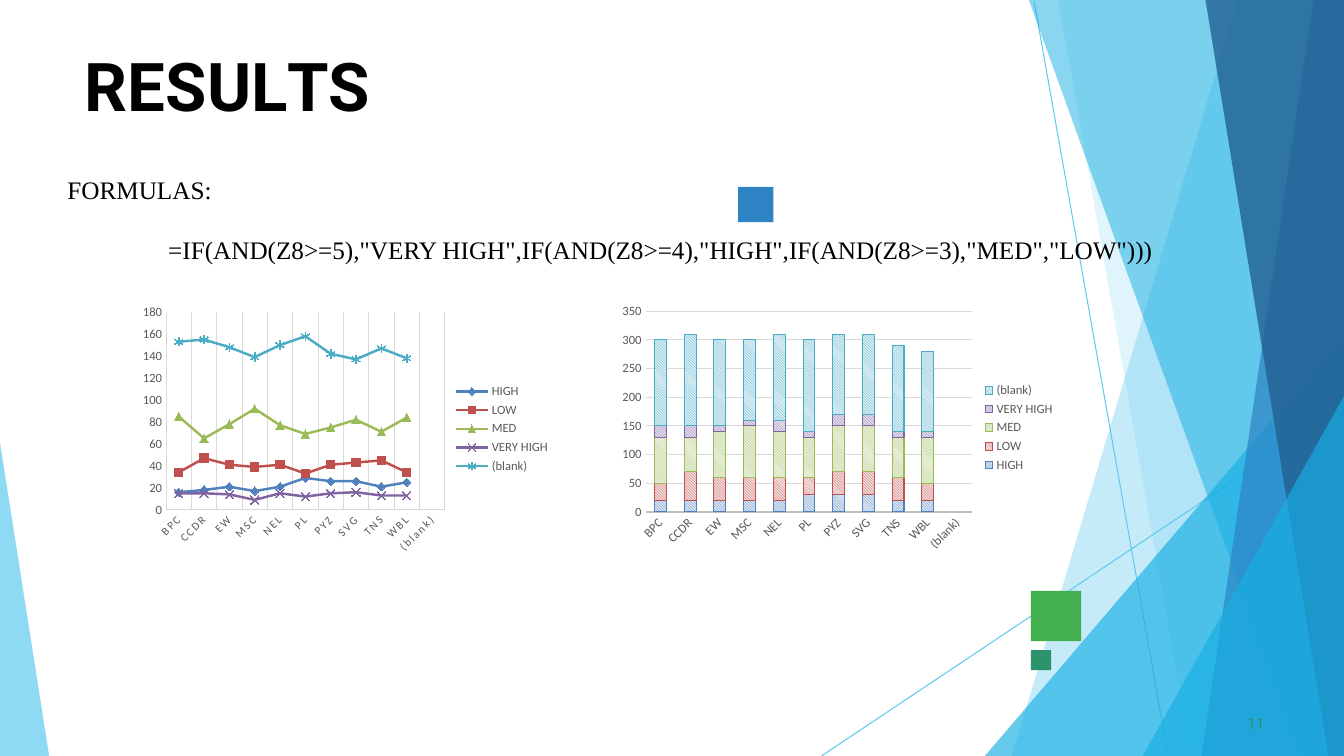
from dataclasses import dataclass

from pptx import Presentation
from pptx.chart.data import CategoryChartData
from pptx.dml.color import RGBColor
from pptx.enum.chart import XL_CHART_TYPE, XL_LEGEND_POSITION, XL_MARKER_STYLE, XL_TICK_MARK
from pptx.enum.dml import MSO_PATTERN
from pptx.enum.shapes import MSO_CONNECTOR, MSO_SHAPE
from pptx.oxml import parse_xml
from pptx.oxml.ns import nsdecls
from pptx.oxml.xmlchemy import OxmlElement
from pptx.util import Cm, Pt


@dataclass(frozen=True)
class Theme:
    black = RGBColor.from_string("000000")
    sky = RGBColor.from_string("5FCAEE")
    cyan = RGBColor.from_string("17AFE3")
    blue = RGBColor.from_string("2D83C3")
    navy = RGBColor.from_string("226192")
    green = RGBColor.from_string("42AF51")
    teal = RGBColor.from_string("2D936B")
    label = RGBColor.from_string("595959")
    grid = RGBColor.from_string("D9D9D9")
    axis = RGBColor.from_string("BFBFBF")
    title_size = Pt(48)
    body_size = Pt(18)
    number_size = Pt(11)
    chart_size = Pt(10)
    label_size = Pt(9)
    small_label_size = Pt(8)
    thin = Pt(0.75)


theme = Theme()
presentation = Presentation()
presentation.slide_width = Cm(33.87)
presentation.slide_height = Cm(19.05)
slide = presentation.slides.add_slide(presentation.slide_layouts[6])
right, bottom = 33.87, 19.05

# Thin background lines
for start_x, start_y, end_x in ((26.06, 0.03, 29.44), (right, 10.26, 20.7)):
    connector = slide.shapes.add_connector(
        MSO_CONNECTOR.STRAIGHT, Cm(start_x), Cm(start_y), Cm(end_x), Cm(bottom))
    connector.line.color.rgb = theme.sky
    connector.line.width = theme.thin
    connector.element.spPr.append(OxmlElement("a:effectLst"))

# Translucent background facets: outline, colour, opacity in percent
right_edge = [(right, bottom), (right, 0)]
facets = [
    ([(31.19, 0), (25.5, bottom), *right_edge], theme.sky, 36),
    ([(26.67, 0), (30.02, bottom), *right_edge], theme.sky, 20),
    ([(right, 8.46), (24.82, bottom), (right, bottom)], theme.cyan, 66),
    ([(25.93, 0), (32.79, bottom), *right_edge], theme.cyan, 50),
    ([(33.1, 0), (30.28, bottom), *right_edge], theme.blue, 70),
    ([(30.38, 0), (33.48, bottom), *right_edge], theme.navy, 80),
    ([(right, 9.98), (28.8, bottom), (right, bottom)], theme.cyan, 66),
    ([(0, 11.15), (0, bottom), (1.24, bottom)], theme.sky, 70),
]
for outline, color, opacity in facets:
    points = [(Cm(x), Cm(y)) for x, y in outline]
    builder = slide.shapes.build_freeform(*points[0])
    builder.add_line_segments(points[1:], close=True)
    facet = builder.convert_to_shape()
    facet.shadow.inherit = False
    facet.line.fill.background()
    facet.fill.solid()
    facet.fill.fore_color.rgb = color
    alpha = OxmlElement("a:alpha")
    alpha.set("val", str(opacity * 1000))
    facet.element.spPr.xpath("a:solidFill/a:srgbClr")[0].append(alpha)

# Decorative squares
for left, top, side, color in (
    (25.98, 14.89, 1.27, theme.green),
    (18.6, 4.71, 0.89, theme.blue),
    (25.98, 16.38, 0.51, theme.teal),
):
    square = slide.shapes.add_shape(
        MSO_SHAPE.RECTANGLE, Cm(left), Cm(top), Cm(side), Cm(side))
    square.shadow.inherit = False
    square.line.fill.background()
    square.fill.solid()
    square.fill.fore_color.rgb = color


def add_text(left, top, width, height, text, font_name, size, color):
    text_frame = slide.shapes.add_textbox(
        Cm(left), Cm(top), Cm(width), Cm(height)).text_frame
    text_frame.word_wrap = True
    text_frame.margin_left = text_frame.margin_right = 0
    text_frame.margin_top = text_frame.margin_bottom = 0
    text_frame.text = text
    for paragraph in text_frame.paragraphs:
        font = paragraph.font
        font.name, font.size, font.color.rgb = font_name, size, color
        for run in paragraph.runs:
            run.font.name, run.font.size, run.font.color.rgb = font_name, size, color
    return text_frame.paragraphs


# Title with its own letter spacing, in hundredths of a point
title = add_text(2.14, 1.13, 29.6, 2.11, "R", "Roboto", theme.title_size, theme.black)[0]
for letters in ("E", "S", "U", "L", "TS"):
    title.add_run().text = letters
for run, spacing in zip(title.runs, (0, -40, 10, -30, -400, 0)):
    run.font.name, run.font.size, run.font.bold = "Roboto", theme.title_size, True
    run.font.color.rgb = theme.black
    run._r.get_or_add_rPr().set("spc", str(spacing))

# Formula and slide number
formula = add_text(
    1.7, 4.39, 30.48, 2.31,
    'FORMULAS:\n=IF(AND(Z8>=5),"VERY HIGH",IF(AND(Z8>=4),"HIGH",IF(AND(Z8>=3),"MED","LOW")))',
    "Times New Roman", theme.body_size, theme.black)
formula[1].space_before = Pt(21.3)
formula[1]._p.get_or_add_pPr().set("marL", str(Cm(2.54)))

add_text(31.43, 18, 0.9, 0.53, "11", "Roboto", theme.number_size, theme.teal)

# Chart data: name, values, line colour, pattern background, marker
categories = ["BPC", "CCDR", "EW", "MSC", "NEL", "PL", "PYZ", "SVG", "TNS", "WBL", "(blank)"]
ratings = [
    ("HIGH", [16, 18, 21, 17, 21, 29, 26, 26, 21, 25],
     "4F81BD", "DCE6F2", XL_MARKER_STYLE.DIAMOND),
    ("LOW", [34, 47, 41, 39, 41, 33, 41, 43, 45, 34],
     "C0504D", "F2DCDB", XL_MARKER_STYLE.SQUARE),
    ("MED", [85, 65, 78, 92, 77, 69, 75, 82, 71, 84],
     "9BBB59", "EBF1DE", XL_MARKER_STYLE.TRIANGLE),
    ("VERY HIGH", [15, 15, 14, 9, 15, 12, 15, 16, 13, 13],
     "8064A2", "E6E0EC", XL_MARKER_STYLE.X),
    ("(blank)", [153, 155, 148, 139, 150, 158, 142, 137, 147, 138],
     "4BACC6", "DBEEF4", XL_MARKER_STYLE.STAR),
]


def add_rating_chart(chart_type, place, digits, maximum, step, plot_area):
    chart_data = CategoryChartData()
    chart_data.categories = categories
    for name, values, *style in ratings:
        chart_data.add_series(name, [round(value, digits) for value in values] + [None])
    chart = slide.shapes.add_chart(
        chart_type, *[Cm(length) for length in place], chart_data).chart
    chart.has_title = False
    chart.font.name, chart.font.size = "Calibri", theme.chart_size
    chart.font.color.rgb = theme.black
    chart.has_legend = True
    chart.legend.position = XL_LEGEND_POSITION.RIGHT
    chart.legend.include_in_layout = False
    chart.value_axis.minimum_scale = 0
    chart.value_axis.maximum_scale = maximum
    chart.value_axis.major_unit = step
    for axis in (chart.category_axis, chart.value_axis):
        axis.major_tick_mark = axis.minor_tick_mark = XL_TICK_MARK.NONE
        axis.format.line.color.rgb = theme.grid
        axis.format.line.width = theme.thin
    for part in (chart.category_axis.tick_labels, chart.value_axis.tick_labels, chart.legend):
        part.font.name, part.font.size = "Calibri", theme.label_size
        part.font.color.rgb = theme.label
    chart.element.xpath(".//c:catAx/c:txPr/a:bodyPr")[0].set("rot", "-2700000")
    # Fixed inner plot area, in percent of the chart
    plot = chart.element.xpath(".//c:plotArea")[0]
    for layout in plot.xpath("c:layout"):
        plot.remove(layout)
    sizes = "".join(f'<c:{key} val="{share / 100}"/>' for key, share in zip("xywh", plot_area))
    plot.insert(0, parse_xml(
        f'<c:layout {nsdecls("c")}><c:manualLayout><c:layoutTarget val="inner"/>'
        f'<c:xMode val="edge"/><c:yMode val="edge"/>{sizes}</c:manualLayout></c:layout>'))
    chart.plots[0].vary_by_categories = False
    return chart


# Line chart
line_chart = add_rating_chart(
    XL_CHART_TYPE.LINE_MARKERS, (3.38, 7.54, 10.74, 6.53), 0, 180, 20, (7.5, 5, 65.4, 76.3))
line_chart.category_axis.tick_labels.font.size = theme.small_label_size
line_chart.element.xpath(".//c:catAx/c:txPr//a:defRPr")[0].set("spc", "120")

# Stacked column chart, in tens
column_chart = add_rating_chart(
    XL_CHART_TYPE.COLUMN_STACKED, (15.46, 7.54, 11.38, 6.48), -1, 350, 50, (7.1, 4.7, 72.4, 78))
column_chart.plots[0].gap_width = 150
column_chart.plots[0].overlap = 100
column_chart.category_axis.format.line.color.rgb = theme.axis
column_chart.category_axis.format.line.width = Pt(1.5)
column_chart.value_axis.format.line.fill.background()

# Gridlines: vertical in the line chart, horizontal in the column chart
line_chart.value_axis.has_major_gridlines = False
for axis in (line_chart.category_axis, column_chart.value_axis):
    axis.has_major_gridlines = True
    axis.major_gridlines.format.line.color.rgb = theme.grid
    axis.major_gridlines.format.line.width = theme.thin

# Series styles
for rating, line, column in zip(ratings, line_chart.series, column_chart.series):
    color, background = [RGBColor.from_string(code) for code in rating[2:4]]
    marker = line.marker
    line.smooth = False
    marker.style, marker.size = rating[4], 6
    for outline, width in ((line.format.line, Pt(1.75)), (marker.format.line, theme.thin),
                           (column.format.line, theme.thin)):
        outline.color.rgb, outline.width = color, width
    if rating[4] in (XL_MARKER_STYLE.X, XL_MARKER_STYLE.STAR):
        marker.format.fill.background()
    else:
        marker.format.fill.solid()
        marker.format.fill.fore_color.rgb = color
    fill = column.format.fill
    fill.patterned()
    fill.pattern = MSO_PATTERN.LIGHT_DOWNWARD_DIAGONAL
    fill.fore_color.rgb, fill.back_color.rgb = color, background

presentation.save("out.pptx")
